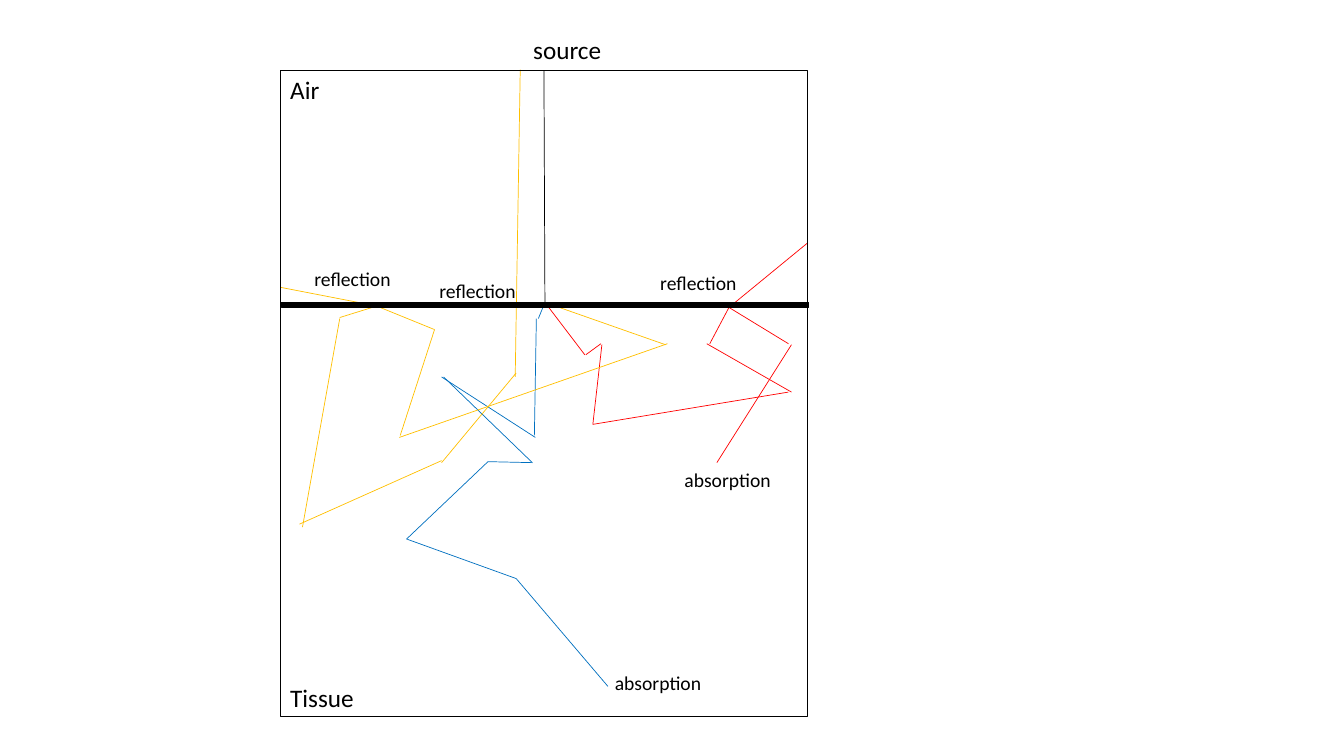
import pptx
import pptx.util
import pptx.dml.color
import pptx.enum.shapes
import pptx.enum.text
import pptx.oxml
from dataclasses import dataclass
from pptx.util import Inches


@dataclass(frozen=True)
class Theme:
    font: str = "Calibri"
    black: str = "000000"
    red: str = "FF0000"
    blue: str = "0070C0"
    yellow: str = "FFC000"
    light_blue: str = "5B9BD5"
    region_size: int = 18
    event_size: int = 14
    ray_width: float = 0.5
    border_width: float = 1


THEME = Theme()

# Photon steps: start x, start y, end x, end y in inches
RED_STEPS = [
    (5.4, 2.99, 5.8, 3.52), (5.81, 3.52, 5.96, 3.41), (5.97, 3.42, 5.88, 4.21),
    (5.88, 4.21, 7.82, 3.89), (7.85, 3.89, 7.01, 3.41), (7.04, 3.41, 7.23, 3.05),
    (7.23, 3.05, 8.01, 2.41), (7.23, 3.05, 7.82, 3.41), (7.85, 3.42, 7.11, 4.59),
]
BLUE_STEPS = [
    (5.4, 3, 5.34, 3.16), (5.32, 3.16, 5.3, 4.32), (5.31, 4.34, 4.38, 3.74),
    (4.4, 3.74, 5.28, 4.59), (5.28, 4.59, 4.84, 4.58), (4.84, 4.58, 4.03, 5.35),
    (4.04, 5.35, 5.12, 5.74), (5.12, 5.74, 6.03, 6.81),
]
YELLOW_STEPS = [
    (5.4, 3, 6.6, 3.42), (6.62, 3.41, 3.96, 4.34), (3.97, 4.32, 4.31, 3.27),
    (4.31, 3.27, 3.77, 3.05), (3.79, 3.02, 3.37, 3.15), (3.37, 3.16, 3, 5.23),
    (2.97, 5.2, 4.38, 4.57), (3.81, 3.05, 2.78, 2.85), (4.38, 4.59, 5.12, 3.7),
    (5.11, 3.74, 5.16, 0.69),
]
REFLECTION_POINT = [(3.8, 3.05, 3.8, 3.06)]
SOURCE_STEPS = [(5.4, 3, 5.39, 0.69)]

# Labels: text, left, top, width, height
REGION_LABELS = [("Air", 2.78, 0.69, 0.49, 0.4), ("Tissue", 2.78, 6.72, 0.84, 0.4)]
SOURCE_LABEL = ("source", 5.19, 0.29, 1.86, 0.4)
EVENT_LABELS = [
    ("absorption", 6.69, 4.59, 1.07, 0.34), ("absorption", 6, 6.61, 1.07, 0.34),
    ("reflection", 3.02, 2.6, 0.97, 0.34), ("reflection", 6.45, 2.64, 0.97, 0.34),
    ("reflection", 4.26, 2.72, 0.97, 0.34),
]


def rgb(color):
    return pptx.dml.color.RGBColor.from_string(color)


def set_values(target, values):
    for name, value in values.items():
        setattr(target, name, value)


def set_line(line, color, width):
    line.color.rgb = rgb(color)
    line.width = pptx.util.Pt(width)


def add_photon_path(slide, steps, color):
    """Draw every step and return the first connector."""
    connectors = []
    for step in steps:
        connector = slide.shapes.add_connector(
            pptx.enum.shapes.MSO_CONNECTOR.STRAIGHT, *map(Inches, step))
        set_line(connector.line, color, THEME.ray_width)
        properties = connector._element.spPr
        properties.append(pptx.oxml.parse_xml(
            '<a:effectLst xmlns:a="http://schemas.openxmlformats.org/drawingml/2006/main"/>'))
        connectors.append(connector)
    return connectors[0]


def add_rectangle(slide, left, top, width, height, fill=None):
    shape = slide.shapes.add_shape(
        pptx.enum.shapes.MSO_SHAPE.RECTANGLE,
        *map(Inches, (left, top, width, height)))
    shape.shadow.inherit = False
    if fill:
        shape.fill.solid()
        shape.fill.fore_color.rgb = rgb(fill)
    else:
        shape.fill.background()
    set_line(shape.line, THEME.black, THEME.border_width)
    return shape


def add_label(slide, label, size, wrap=False):
    text, *box = label
    frame = slide.shapes.add_textbox(*map(Inches, box)).text_frame
    set_values(frame, {
        "word_wrap": wrap,
        "auto_size": pptx.enum.text.MSO_AUTO_SIZE.SHAPE_TO_FIT_TEXT,
    })
    run = frame.paragraphs[0].add_run()
    run.text = text
    set_values(run.font, {"name": THEME.font, "size": pptx.util.Pt(size)})
    run.font.color.rgb = rgb(THEME.black)


def main():
    presentation = pptx.Presentation()
    set_values(presentation, {"slide_width": Inches(13.33), "slide_height": Inches(7.5)})
    slide = presentation.slides.add_slide(presentation.slide_layouts[6])

    # Photon paths lie behind the tissue surface
    entering_rays = [
        add_photon_path(slide, RED_STEPS, THEME.red),
        add_photon_path(slide, BLUE_STEPS, THEME.blue),
        add_photon_path(slide, YELLOW_STEPS, THEME.yellow),
    ]
    add_photon_path(slide, REFLECTION_POINT, THEME.light_blue)
    source_ray = add_photon_path(slide, SOURCE_STEPS, THEME.black)

    # Tissue surface
    surface = add_rectangle(slide, 2.79, 3, 5.23, 0.05, THEME.black)

    # Labels
    for label in REGION_LABELS:
        add_label(slide, label, THEME.region_size)
    add_label(slide, SOURCE_LABEL, THEME.region_size, wrap=True)
    for label in EVENT_LABELS:
        add_label(slide, label, THEME.event_size)

    # Outer frame, and the rays joined at the surface
    frame = add_rectangle(slide, 2.78, 0.7, 5.23, 6.41)
    for ray in entering_rays + [source_ray]:
        ray.begin_connect(surface, 0)
    source_ray.end_connect(frame, 0)

    presentation.save("out.pptx")


if __name__ == "__main__":
    main()
